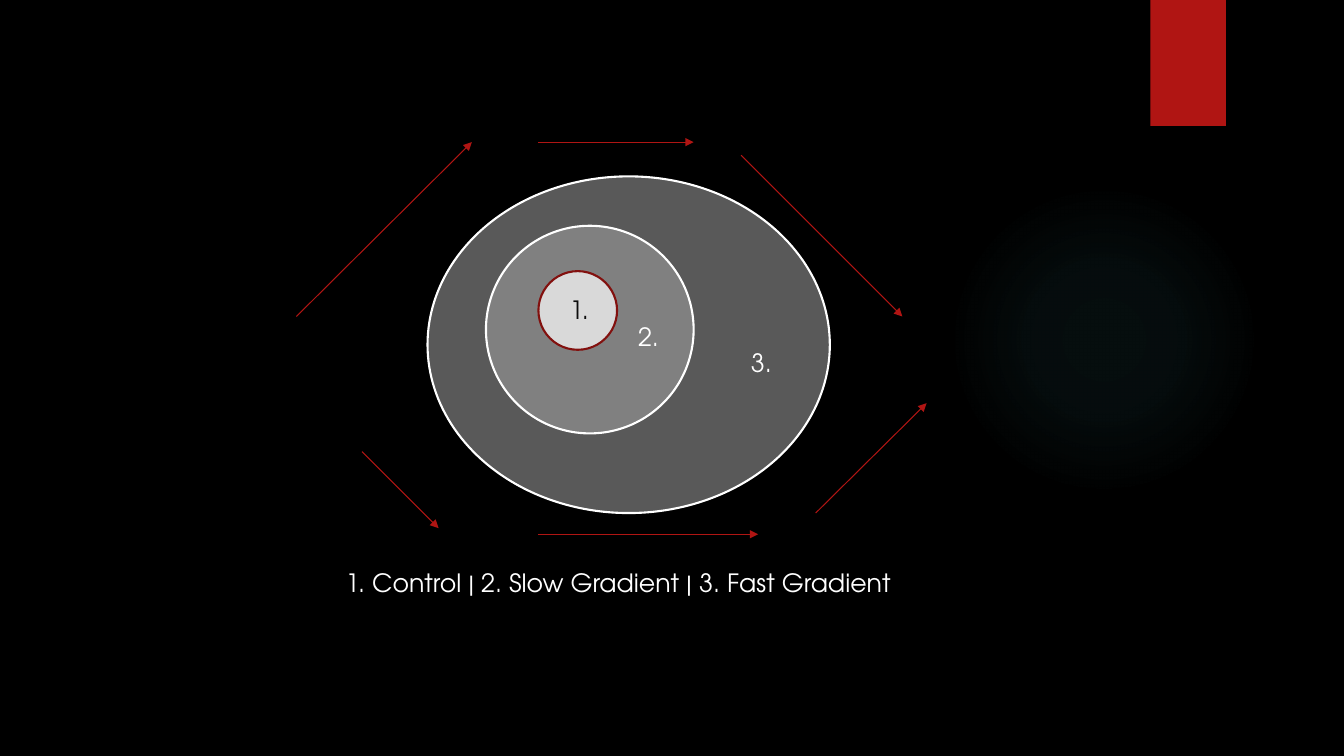
from lxml import etree
from pptx import Presentation
from pptx.dml.color import RGBColor
from pptx.enum.shapes import MSO_CONNECTOR, MSO_SHAPE
from pptx.enum.text import MSO_AUTO_SIZE
from pptx.oxml import parse_xml
from pptx.oxml.ns import qn
from pptx.util import Pt

OVAL = MSO_SHAPE.OVAL
RECTANGLE = MSO_SHAPE.RECTANGLE
STRAIGHT = MSO_CONNECTOR.STRAIGHT
FIT_SHAPE = MSO_AUTO_SIZE.SHAPE_TO_FIT_TEXT
DRAWING_NS = "http://schemas.openxmlformats.org/drawingml/2006/main"
EMU_PER_PX = 9144
BLANK_LAYOUT = 6

COLORS = {
    "background": "000000",
    "accent": "B01513",
    "accent_dark": "82100E",
    "glow": "50B9C1",
    "white": "FFFFFF",
    "ink": "0D0D0D",
    "fast": "595959",
    "slow": "808080",
    "control": "D9D9D9",
}


def px(*lengths):
    return [length * EMU_PER_PX for length in lengths]


def rgb(name):
    return RGBColor.from_string(COLORS[name])


class GradientSlide:
    font = "TeX Gyre Adventor"
    text_size = Pt(18)
    outline_width = Pt(1.5)
    arrow_width = Pt(0.75)

    def __init__(self, deck):
        self.page = deck.slides.add_slide(deck.slide_layouts[BLANK_LAYOUT])
        background = self.page.background.fill
        background.solid()
        background.fore_color.rgb = rgb("background")

    def shape(self, kind, place, fill, outline=None):
        shape = self.page.shapes.add_shape(kind, *px(*place))
        shape.shadow.inherit = False
        shape.fill.solid()
        shape.fill.fore_color.rgb = rgb(fill)
        if outline:
            shape.line.color.rgb = rgb(outline)
            shape.line.width = self.outline_width
        else:
            shape.line.fill.background()
        return shape

    def glow(self, place, color, stops):
        shape = self.shape(OVAL, place, color)
        stop_list = "".join(
            f'<a:gs pos="{position * 1000}"><a:srgbClr val="{COLORS[color]}">'
            f'<a:alpha val="{alpha * 1000}"/></a:srgbClr></a:gs>'
            for position, alpha in stops
        )
        gradient = parse_xml(
            f'<a:gradFill xmlns:a="{DRAWING_NS}"><a:gsLst>{stop_list}</a:gsLst>'
            '<a:path path="circle"><a:fillToRect l="50000" t="50000" '
            'r="50000" b="50000"/></a:path></a:gradFill>'
        )
        properties = shape._element.spPr
        properties.replace(properties.find(qn("a:solidFill")), gradient)

    def text(self, place, words, color="white", wrap=False):
        box = self.page.shapes.add_textbox(*px(*place))
        frame = box.text_frame
        frame.word_wrap = wrap
        frame.auto_size = FIT_SHAPE
        span = frame.paragraphs[0].add_run()
        span.text = words
        span.font.name = self.font
        span.font.size = self.text_size
        span.font.color.rgb = rgb(color)

    def arrow(self, start, end):
        arrow = self.page.shapes.add_connector(STRAIGHT, *px(*start, *end))
        arrow.line.color.rgb = rgb("accent")
        arrow.line.width = self.arrow_width
        line = arrow.line._get_or_add_ln()
        etree.SubElement(line, qn("a:tailEnd"), type="triangle")
        etree.SubElement(arrow._element.spPr, qn("a:effectLst"))


def main():
    deck = Presentation()
    deck.slide_width, deck.slide_height = px(1333, 750)
    slide = GradientSlide(deck)

    slide.glow((941, 183, 308, 308), "glow", [(0, 7), (36, 6), (69, 0)])
    slide.shape(RECTANGLE, (1141, 0, 75, 125), "accent")

    for place, fill, outline in [
        ((424, 175, 399, 334), "fast", "white"),
        ((482, 224, 206, 206), "slow", "white"),
        ((534, 269, 78, 78), "control", "accent_dark"),
    ]:
        slide.shape(OVAL, place, fill, outline)

    slide.text(
        (333, 558, 788, 40),
        "1. Control | 2. Slow Gradient | 3. Fast Gradient",
        wrap=True,
    )
    slide.text((555, 287, 68, 40), "1.", "ink", wrap=True)
    slide.text((735, 340, 41, 40), "3.")
    slide.text((623, 314, 41, 40), "2.")

    for start, end in [
        ((294, 314), (468, 141)),
        ((534, 141), (688, 141)),
        ((735, 154), (895, 314)),
        ((359, 448), (435, 524)),
        ((534, 530), (752, 530)),
        ((809, 509), (919, 400)),
    ]:
        slide.arrow(start, end)

    deck.save("out.pptx")


if __name__ == "__main__":
    main()
